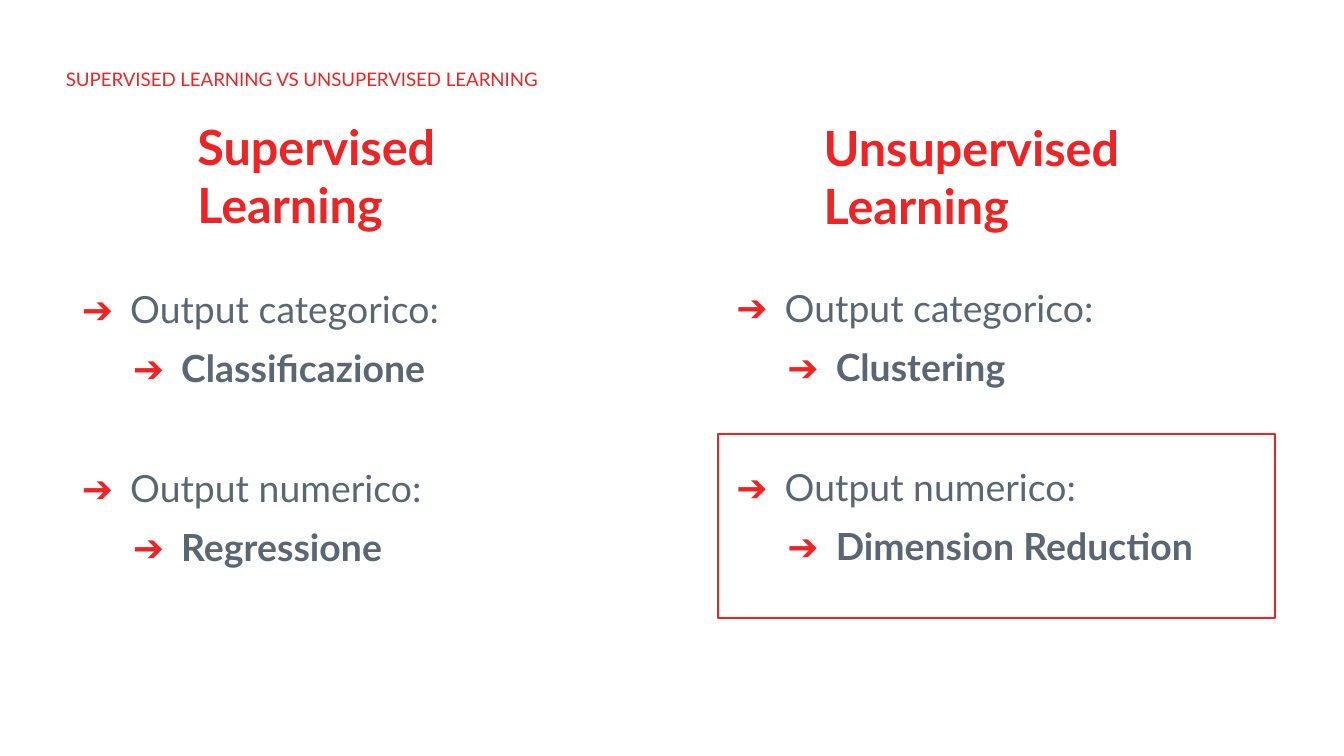
import pptx
import pptx.dml.color
import pptx.enum.shapes
import pptx.enum.text
import pptx.oxml
import pptx.oxml.ns
import pptx.util

Inches = pptx.util.Inches
Pt = pptx.util.Pt
MIDDLE = pptx.enum.text.MSO_ANCHOR.MIDDLE
TOP = pptx.enum.text.MSO_ANCHOR.TOP

SLIDE_WIDTH = 10
SLIDE_HEIGHT = SLIDE_WIDTH * 9 / 16


def rgb(value):
    return pptx.dml.color.RGBColor.from_string(value)


class Deck:
    FONT = "Lato"
    RED = "EE2324"
    GRAY = "5A6772"
    WHITE = "FFFFFF"
    HANG = 0.36
    LEVEL_STEP = 0.38

    def __init__(self, slide):
        self.slide = slide

    def format_frame(self, frame, anchor):
        frame.word_wrap = True
        frame.auto_size = pptx.enum.text.MSO_AUTO_SIZE.NONE
        frame.vertical_anchor = anchor
        frame.margin_left = frame.margin_right = Inches(0.1)
        frame.margin_top = frame.margin_bottom = Inches(0.1)

    def style(self, paragraph, size, color, bold=False):
        paragraph.alignment = pptx.enum.text.PP_ALIGN.LEFT
        for run in paragraph.runs:
            run.font.name = self.FONT
            run.font.size = Pt(size)
            run.font.bold = bold
            run.font.color.rgb = rgb(color)

    def title(self, text, left, top, width, height):
        title = self.slide.shapes.title
        title.left, title.top = Inches(left), Inches(top)
        title.width, title.height = Inches(width), Inches(height)
        title.text_frame.text = text
        self.format_frame(title.text_frame, MIDDLE)
        self.style(title.text_frame.paragraphs[0], 10, self.RED)

    def text_box(self, text, left, top, width, height, anchor):
        box = self.slide.shapes.add_textbox(
            Inches(left), Inches(top), Inches(width), Inches(height))
        box.text_frame.text = text
        self.format_frame(box.text_frame, anchor)
        return box.text_frame

    def heading(self, text, left, top, width):
        frame = self.text_box(text, left, top, width, 0.78, MIDDLE)
        for line in frame.paragraphs:
            self.style(line, 26, self.RED, bold=True)

    def add_bullet(self, paragraph, level):
        properties = paragraph._p.get_or_add_pPr()
        indent = self.HANG + level * self.LEVEL_STEP
        properties.set("marL", str(Inches(indent)))
        properties.set("indent", str(-Inches(self.HANG)))
        namespace = pptx.oxml.ns.nsdecls("a")
        for xml in (
            f'<a:buClr {namespace}><a:srgbClr val="{self.RED}"/></a:buClr>',
            f'<a:buFont {namespace} typeface="{self.FONT}"/>',
            f'<a:buChar {namespace} char="➔"/>',
        ):
            properties.append(pptx.oxml.parse_xml(xml))

    def outcome_list(self, outcomes, left, top):
        """Each outcome is an output type with its method one level below."""
        lines = [line for outcome in outcomes for line in outcome]
        frame = self.text_box("\n".join(lines), left, top, 4.45, 3.03, TOP)
        for index, paragraph in enumerate(frame.paragraphs):
            level = index % 2
            self.add_bullet(paragraph, level)
            if index:
                paragraph.space_before = Pt(7.7 if level else 40.3)
            self.style(paragraph, 20, self.GRAY, bold=level == 1)

    def rectangle(self, left, top, width, height, fill=None, line=None):
        shape = self.slide.shapes.add_shape(
            pptx.enum.shapes.MSO_SHAPE.RECTANGLE,
            Inches(left), Inches(top), Inches(width), Inches(height))
        shape.shadow.inherit = False
        if fill:
            shape.fill.solid()
            shape.fill.fore_color.rgb = rgb(fill)
        else:
            shape.fill.background()
        if line:
            shape.line.color.rgb = rgb(line)
            shape.line.width = Pt(1)
        else:
            shape.line.fill.background()


def main():
    presentation = pptx.Presentation()
    presentation.slide_width = Inches(SLIDE_WIDTH)
    presentation.slide_height = Inches(SLIDE_HEIGHT)
    deck = Deck(presentation.slides.add_slide(presentation.slide_layouts[5]))

    # Right half panel and slide title
    deck.rectangle(SLIDE_WIDTH / 2, 0, SLIDE_WIDTH / 2, SLIDE_HEIGHT,
                   fill=deck.WHITE)
    deck.title("SUPERVISED LEARNING VS UNSUPERVISED LEARNING",
               0.39, 0.43, 4.24, 0.31)

    # Supervised column
    deck.heading("Supervised\nLearning", 1.37, 0.91, 4.49)
    deck.outcome_list([("Output categorico:", "Classificazione"),
                       ("Output numerico:", "Regressione")], 0.51, 2.03)

    # Unsupervised column
    deck.heading("Unsupervised\nLearning", 6.03, 0.92, 3.67)
    deck.outcome_list([("Output categorico:", "Clustering"),
                       ("Output numerico:", "Dimension Reduction")], 5.38, 2.02)

    # Frame around dimension reduction
    deck.rectangle(5.34, 3.23, 4.15, 1.37, line=deck.RED)

    presentation.save("out.pptx")


if __name__ == "__main__":
    main()
